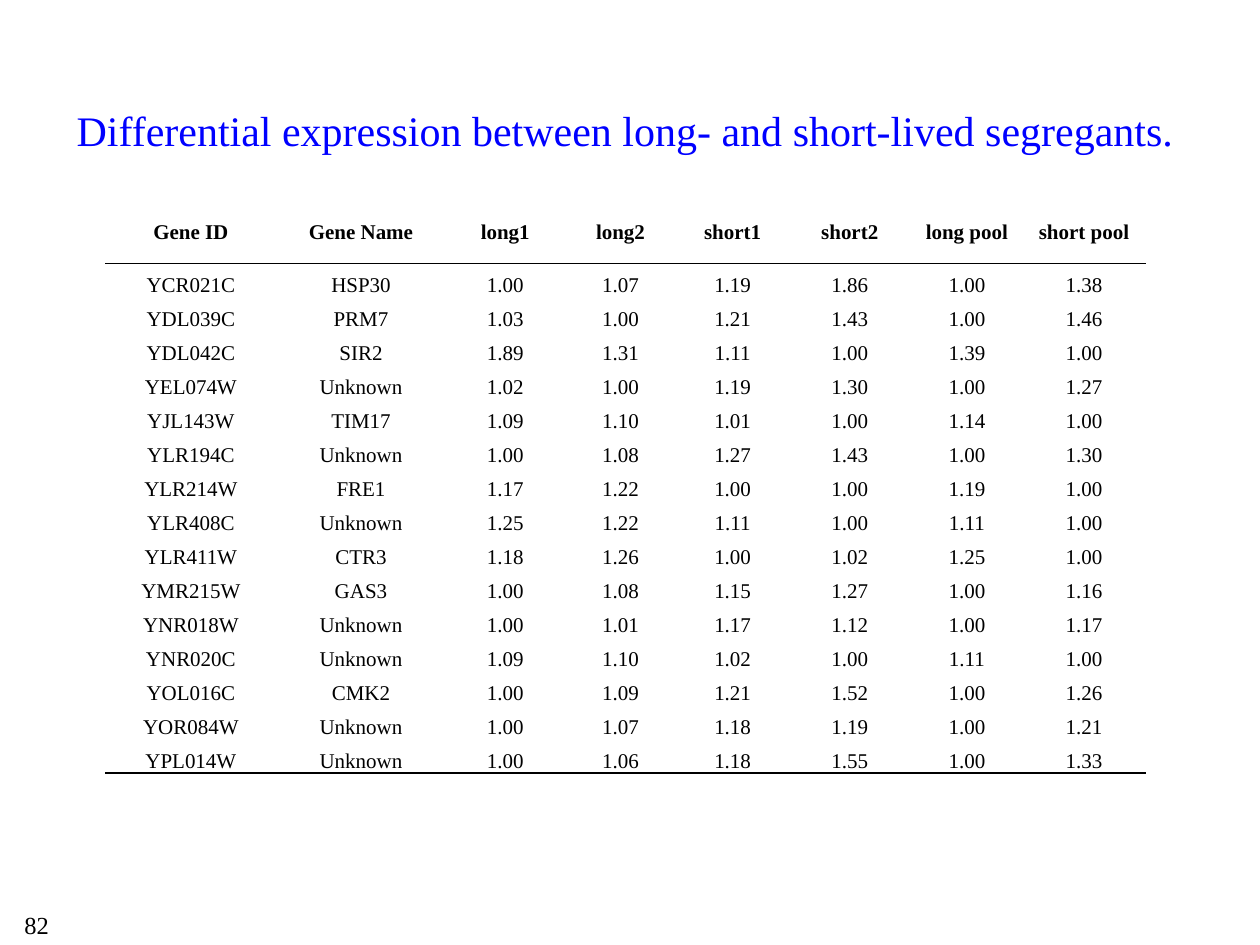
from lxml.etree import SubElement
from pptx import Presentation
from pptx.dml.color import RGBColor
from pptx.enum.text import MSO_ANCHOR, PP_ALIGN
from pptx.oxml import parse_xml
from pptx.oxml.ns import nsdecls, qn
from pptx.util import Inches, Pt

FONT = "Times New Roman"
BLACK = "000000"
BLUE = "0000FF"
COLUMN_WIDTHS = [1.35, 1.35, 0.94, 0.89, 0.89, 0.97, 0.89, 0.97]
HEADER_HEIGHT = 0.49
GENE_HEIGHT = 0.27
HEADINGS = ["Gene ID", "Gene Name", "long1", "long2", "short1", "short2", "long pool", "short pool"]
GENES = [
    "YCR021C HSP30 1.00 1.07 1.19 1.86 1.00 1.38",
    "YDL039C PRM7 1.03 1.00 1.21 1.43 1.00 1.46",
    "YDL042C SIR2 1.89 1.31 1.11 1.00 1.39 1.00",
    "YEL074W Unknown 1.02 1.00 1.19 1.30 1.00 1.27",
    "YJL143W TIM17 1.09 1.10 1.01 1.00 1.14 1.00",
    "YLR194C Unknown 1.00 1.08 1.27 1.43 1.00 1.30",
    "YLR214W FRE1 1.17 1.22 1.00 1.00 1.19 1.00",
    "YLR408C Unknown 1.25 1.22 1.11 1.00 1.11 1.00",
    "YLR411W CTR3 1.18 1.26 1.00 1.02 1.25 1.00",
    "YMR215W GAS3 1.00 1.08 1.15 1.27 1.00 1.16",
    "YNR018W Unknown 1.00 1.01 1.17 1.12 1.00 1.17",
    "YNR020C Unknown 1.09 1.10 1.02 1.00 1.11 1.00",
    "YOL016C CMK2 1.00 1.09 1.21 1.52 1.00 1.26",
    "YOR084W Unknown 1.00 1.07 1.18 1.19 1.00 1.21",
    "YPL014W Unknown 1.00 1.06 1.18 1.55 1.00 1.33",
]


def color(hex_code):
    """Turn a hex string into a colour."""
    return RGBColor.from_string(hex_code)


def write(frame, text, size, hex_code, align, bold=False):
    """Write one styled run into the first paragraph of a text frame."""
    paragraph = frame.paragraphs[0]
    paragraph.alignment = align
    run = paragraph.add_run()
    run.text = text
    run.font.name = FONT
    run.font.size = Pt(size)
    run.font.bold = bold
    run.font.color.rgb = color(hex_code)


def add_text(slide, box, text, size, hex_code, align, anchor):
    """Add a wrapping text box."""
    frame = slide.shapes.add_textbox(*map(Inches, box)).text_frame
    frame.word_wrap = True
    frame.vertical_anchor = anchor
    write(frame, text, size, hex_code, align)


def rule(cell, side):
    """Draw a thin black border on one side of a cell."""
    border = parse_xml(f'<a:{side} {nsdecls("a")} w="12700"/>')
    fill = SubElement(border, qn("a:solidFill"))
    SubElement(fill, qn("a:srgbClr"), val=BLACK)
    cell._tc.get_or_add_tcPr().insert(0, border)


def fill_cell(cell, text, is_header):
    """Style and fill one table cell."""
    cell.fill.background()
    cell.margin_left = cell.margin_right = Inches(0.07)
    cell.margin_top = cell.margin_bottom = 0
    cell.vertical_anchor = MSO_ANCHOR.MIDDLE if is_header else MSO_ANCHOR.BOTTOM
    write(cell.text_frame, text, 12, BLACK, PP_ALIGN.CENTER, is_header)


def add_gene_table(slide):
    """Add the expression table with rules below its header and last gene."""
    rows = [HEADINGS] + [gene.split() for gene in GENES]
    last = len(rows) - 1
    height = HEADER_HEIGHT + GENE_HEIGHT * last
    table = slide.shapes.add_table(
        len(rows), len(HEADINGS), Inches(0.84), Inches(1.6),
        Inches(sum(COLUMN_WIDTHS)), Inches(height),
    ).table
    table.first_row = table.horz_banding = False
    for column, width in zip(table.columns, COLUMN_WIDTHS):
        column.width = Inches(width)
    borders = {0: "lnB", 1: "lnT", last: "lnB"}
    for index, values in enumerate(rows):
        table.rows[index].height = Inches(GENE_HEIGHT if index else HEADER_HEIGHT)
        for cell, value in zip(table.rows[index].cells, values):
            fill_cell(cell, value, index == 0)
            if index in borders:
                rule(cell, borders[index])


def main():
    """Build and save the slide."""
    deck = Presentation()
    deck.slide_width, deck.slide_height = Inches(10), Inches(7.5)
    slide = deck.slides.add_slide(deck.slide_layouts[6])
    add_text(slide, (-0.45, 7.17, 1.48, 0.33), "82", 14, BLACK, PP_ALIGN.CENTER, MSO_ANCHOR.TOP)
    add_text(slide, (0.51, 0.26, 9, 1.54),
             "Differential expression between long- and short-lived segregants.",
             24, BLUE, PP_ALIGN.LEFT, MSO_ANCHOR.MIDDLE)
    add_gene_table(slide)
    deck.save("out.pptx")


if __name__ == "__main__":
    main()
